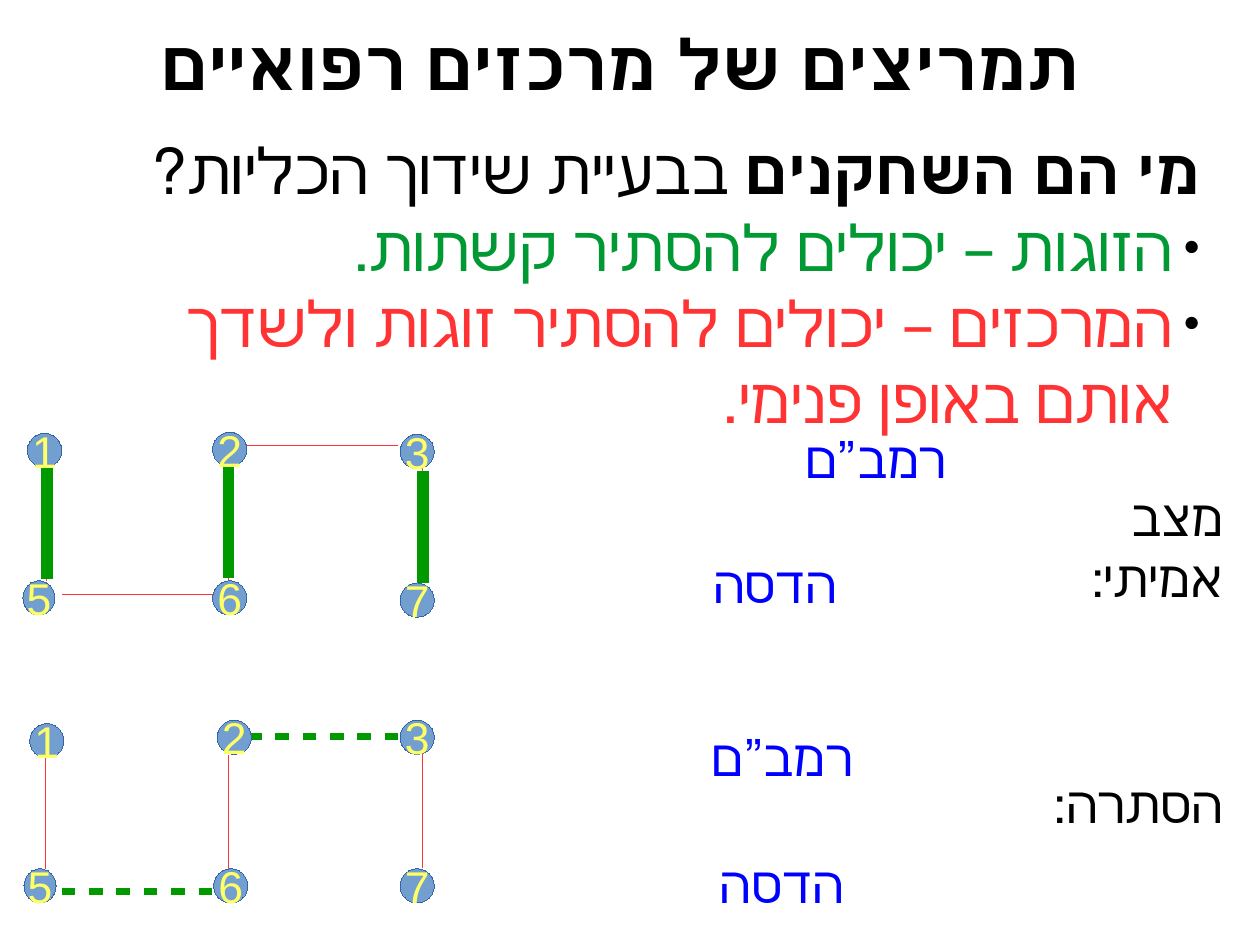
import pptx
import pptx.util
import pptx.dml.color
import pptx.enum.text
import pptx.enum.shapes
import pptx.oxml.ns
from lxml import etree

Pt = pptx.util.Pt
qn = pptx.oxml.ns.qn
ALIGN = pptx.enum.text.PP_ALIGN
ANCHOR = pptx.enum.text.MSO_ANCHOR
FONT = "Arial"
BLACK, BLUE, RED, GREEN = "000000", "0000FF", "FF3333", "009900"
DOT, RIM, DIGIT = "729FCF", "3465A4", "FFFF66"


def color(code):
    return pptx.dml.color.RGBColor.from_string(code)


def add_run(para, text, size, code, bold=False):
    run = para.add_run()
    run.text = text
    font = run.font
    font.name, font.size, font.bold = FONT, Pt(size), bold
    font.color.rgb = color(code)


def add_bullet(para):
    props = para._p.get_or_add_pPr()
    props.set("marL", str(Pt(17.3)))
    props.set("indent", str(-Pt(17.3)))
    tint = etree.SubElement(props, qn("a:buClr"))
    etree.SubElement(tint, qn("a:srgbClr"), val=BLACK)
    etree.SubElement(props, qn("a:buSzPct"), val="45000")
    etree.SubElement(props, qn("a:buFont"), typeface=FONT)
    etree.SubElement(props, qn("a:buChar"), char="●")


def add_box(slide, box, pad=(7.2, 3.6)):
    frame = slide.shapes.add_textbox(*map(Pt, box)).text_frame
    frame.word_wrap = True
    frame.margin_left = frame.margin_right = Pt(pad[0])
    frame.margin_top = frame.margin_bottom = Pt(pad[1])
    return frame


def set_align(para, align, rtl=True):
    para.alignment = align
    if rtl:
        para._p.get_or_add_pPr().set("rtl", "1")


def add_title(slide, box):
    frame = add_box(slide, box, (0, 0))
    frame.vertical_anchor = ANCHOR.MIDDLE
    para = frame.paragraphs[0]
    set_align(para, ALIGN.CENTER)
    add_run(para, "תמריצים של מרכזים רפואיים", 44, BLACK, True)


def add_body(slide, box):
    frame = add_box(slide, box)
    para = frame.paragraphs[0]
    set_align(para, ALIGN.RIGHT)
    add_run(para, "מי הם השחקנים", 40, BLACK, True)
    add_run(para, " בבעיית שידוך הכליות?", 40, BLACK)
    for text, code in (
        ("הזוגות – יכולים להסתיר קשתות.", "009933"),
        ("המרכזים – יכולים להסתיר זוגות ולשדך אותם באופן פנימי.", RED),
    ):
        para = frame.add_paragraph()
        set_align(para, ALIGN.RIGHT)
        add_bullet(para)
        add_run(para, text, 40, code)


def add_label(slide, box, text, code, rtl=True):
    para = add_box(slide, box).paragraphs[0]
    set_align(para, ALIGN.RIGHT if rtl else ALIGN.LEFT, rtl)
    add_run(para, text, 32, code)


def set_line(line, code, width=0):
    line.color.rgb = color(code)
    # A hairline needs its zero width written out
    line._get_or_add_ln().set("w", str(Pt(width)))


def add_edge(slide, left, top, ends, code, width=0, dash=False):
    x1, y1, x2, y2 = ends
    edge = slide.shapes.add_connector(
        pptx.enum.shapes.MSO_CONNECTOR.STRAIGHT,
        Pt(left + x1), Pt(top + y1), Pt(left + x2), Pt(top + y2))
    set_line(edge.line, code, width)
    if dash:
        style = etree.SubElement(edge.line._get_or_add_ln(), qn("a:custDash"))
        etree.SubElement(style, qn("a:ds"), d="200000", sp="200000")
    etree.SubElement(edge._element.spPr, qn("a:effectLst"))


def add_dot(slide, x, y, width, text):
    dot = slide.shapes.add_shape(
        pptx.enum.shapes.MSO_SHAPE.OVAL, Pt(x), Pt(y), Pt(width), Pt(21.6))
    dot.shadow.inherit = False
    dot.fill.solid()
    dot.fill.fore_color.rgb = color(DOT)
    set_line(dot.line, RIM)
    frame = dot.text_frame
    frame.word_wrap = False
    frame.vertical_anchor = ANCHOR.MIDDLE
    para = frame.paragraphs[0]
    set_align(para, ALIGN.CENTER, False)
    add_run(para, text, 28, DIGIT)


def add_graph(slide, left, top, dots, thin, thick, width, dash):
    for ends in thin:
        add_edge(slide, left, top, ends, RED)
    for ends in thick:
        add_edge(slide, left, top, ends, GREEN, width, dash)
    for name, (x, y) in dots.items():
        size = 20.2 if name == "5" else 21.6
        add_dot(slide, left + x, top + y, size, name)


def main():
    deck = pptx.Presentation()
    # 28 by 21 centimetres
    deck.slide_width, deck.slide_height = Pt(793.7), Pt(595.28)
    slide = deck.slides.add_slide(deck.slide_layouts[6])

    # Heading and list
    add_body(slide, (50.4, 79.2, 712.8, 193.7))
    add_title(slide, (46.8, 0, 687.6, 79.2))

    # True state: all pairs matched
    add_graph(
        slide, 14.4, 272,
        {"1": (2.9, 0.9), "2": (119.5, 0.2), "3": (237.6, 1.6),
         "5": (0, 93.8), "6": (119.5, 93.8), "7": (237.6, 95.2)},
        [(15.1, 22.5, 15.1, 93.8), (129.6, 21.8, 129.6, 93.8),
         (252, 22.5, 252, 94.5), (141.1, 8.8, 236.2, 8.8),
         (25.2, 102.4, 119.5, 102.4)],
        [(15.1, 22.5, 15.1, 93), (129.6, 21.8, 129.6, 92.3),
         (252, 24.6, 252, 95.2)],
        7.2, False)

    # Hidden state: matches inside each centre
    add_graph(
        slide, 14.4, 453.6,
        {"1": (4.3, 2.2), "2": (122.4, 0), "3": (237.6, 0),
         "5": (0.7, 93.6), "6": (120.2, 93.6), "7": (237.6, 93.6)},
        [(14.4, 22.3, 14.4, 93.6), (129.6, 22.3, 129.6, 93.6),
         (252, 21.6, 252, 92.9)],
        [(141.8, 10.1, 236.9, 10.1), (24.5, 108, 120.2, 108)],
        4.31, True)

    # Centre names and state names
    for box, text, code, rtl in (
        ((439.9, 265.7, 163.4, 44.6), "רמב”ם", BLUE, True),
        ((442.1, 344.9, 162, 44.6), "הדסה", BLUE, False),
        ((441.4, 453.6, 163.4, 44.6), "רמב”ם", BLUE, False),
        ((446.4, 533.5, 162, 44.6), "הדסה", BLUE, False),
        ((619.2, 302.4, 158.4, 82.1), "מצב אמיתי:", BLACK, True),
        ((619.2, 483.1, 158.4, 44.6), "הסתרה:", BLACK, True),
    ):
        add_label(slide, box, text, code, rtl)

    deck.save("out.pptx")


if __name__ == "__main__":
    main()
